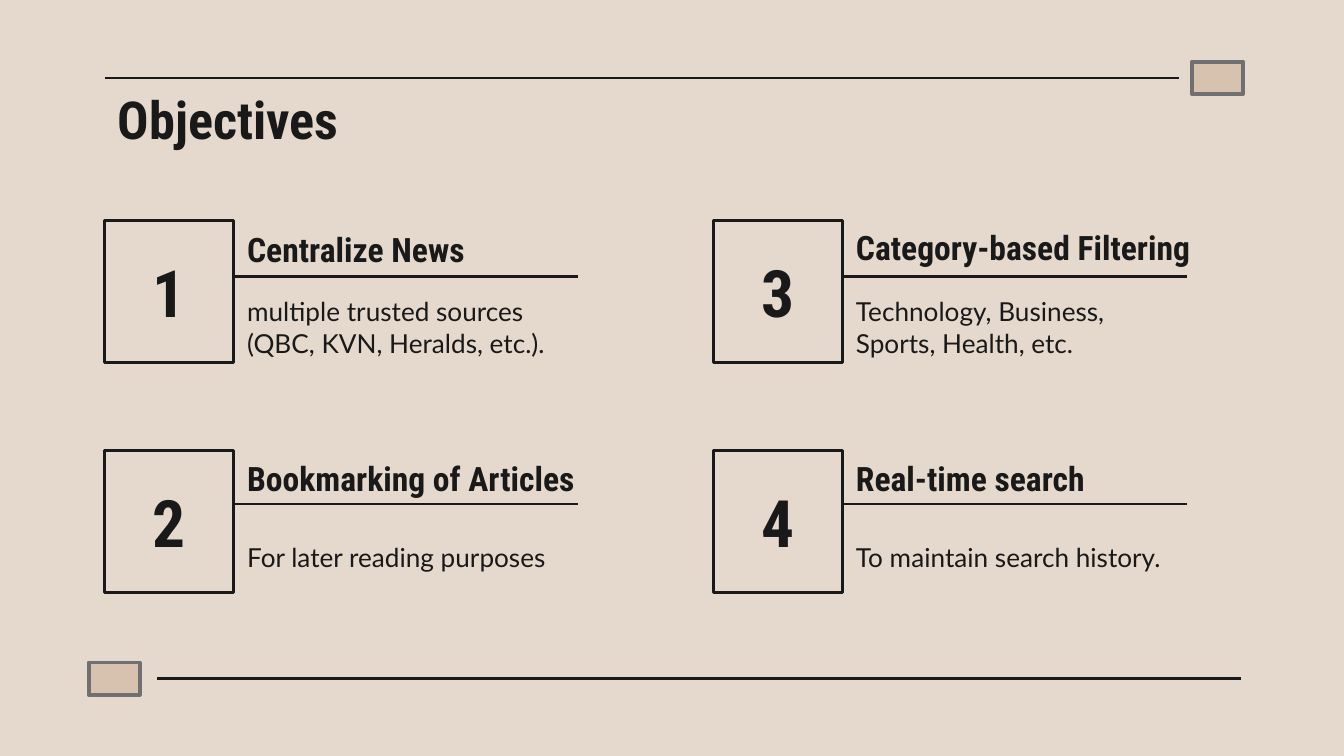
import pptx
import pptx.dml.color
import pptx.enum.shapes
import pptx.enum.text
import pptx.oxml
import pptx.oxml.ns
import pptx.util

Inches = pptx.util.Inches
Align = pptx.enum.text.PP_ALIGN

COLORS = {
    "background": "E5D8CC",
    "ink": "191919",
    "accent": "D6C2AF",
    "accent_border": "707070",
}
HEADING_FONT = "Roboto Condensed"
BODY_FONT = "Lato"

COLUMNS = (0.78, 5.31)
ROWS = (1.64, 3.35)
RULE_TOPS = (2.06, 3.75)
NUMBER_WIDTH, NUMBER_HEIGHT = 0.96, 1.06
OBJECTIVES = (
    ("Centralize News", 1.64, 2.54,
     "multiple trusted sources (QBC, KVN, Heralds, etc.)."),
    ("Bookmarking of Articles", 3.35, 2.89, "For later reading purposes"),
    ("Category-based Filtering", 1.63, 3.11,
     "Technology, Business, Sports, Health, etc."),
    ("Real-time search", 3.35, 2.55, "To maintain search history."),
)


def color(name):
    return pptx.dml.color.RGBColor.from_string(COLORS[name])


def write_text(box, text, size, font, bold=False, align=Align.LEFT):
    frame = box.text_frame
    frame.word_wrap = True
    frame.vertical_anchor = pptx.enum.text.MSO_ANCHOR.MIDDLE
    frame.margin_left = frame.margin_right = Inches(0.1)
    frame.margin_top = frame.margin_bottom = Inches(0.1)
    frame.text = text
    paragraph = frame.paragraphs[0]
    paragraph.alignment = align
    span = paragraph.runs[0]
    span.font.size = pptx.util.Pt(size)
    span.font.name = font
    span.font.bold = bold
    span.font.color.rgb = color("ink")


def add_text(page, left, top, width, height, text, size, font, bold=False):
    box = page.shapes.add_textbox(
        Inches(left), Inches(top), Inches(width), Inches(height))
    write_text(box, text, size, font, bold)


def add_rectangle(page, left, top, width, height, border, weight, fill=None):
    rectangle = page.shapes.add_shape(
        pptx.enum.shapes.MSO_SHAPE.RECTANGLE,
        Inches(left), Inches(top), Inches(width), Inches(height))
    rectangle.shadow.inherit = False
    if fill:
        rectangle.fill.solid()
        rectangle.fill.fore_color.rgb = color(fill)
    else:
        rectangle.fill.background()
    rectangle.line.color.rgb = color(border)
    rectangle.line.width = pptx.util.Pt(weight)
    return rectangle


def add_rule(page, start, end, top):
    rule = page.shapes.add_connector(
        pptx.enum.shapes.MSO_CONNECTOR.STRAIGHT,
        Inches(start), Inches(top), Inches(end), Inches(top))
    rule.line.color.rgb = color("ink")
    rule.line.width = pptx.util.Pt(1.5)
    properties = rule._element.spPr
    properties.append(pptx.oxml.parse_xml(
        "<a:effectLst %s/>" % pptx.oxml.ns.nsdecls("a")))


def add_objective(page, index, heading, heading_top, heading_width, detail):
    column, row = divmod(index, len(ROWS))
    left, top = COLUMNS[column], ROWS[row]
    text_left = left + NUMBER_WIDTH
    add_text(page, text_left, heading_top, heading_width, 0.42,
             heading, 18, HEADING_FONT, True)
    number = add_rectangle(
        page, left, top, NUMBER_WIDTH, NUMBER_HEIGHT, "ink", 1.5)
    write_text(number, str(index + 1), 35, HEADING_FONT, True, Align.CENTER)
    add_text(page, text_left, top + 0.53, 2.55, 0.53, detail, 14, BODY_FONT)
    add_rule(page, text_left, text_left + 2.56, RULE_TOPS[row])


def main():
    deck = pptx.Presentation()
    deck.slide_width = Inches(10)
    deck.slide_height = deck.slide_width * 9 // 16
    page = deck.slides.add_slide(deck.slide_layouts[6])
    page.background.fill.solid()
    page.background.fill.fore_color.rgb = color("background")

    add_rule(page, 1.17, 9.23, 5.05)
    add_rule(page, 0.78, 8.77, 0.58)
    for index, objective in enumerate(OBJECTIVES):
        add_objective(page, index, *objective)
    add_text(page, 0.78, 0.7, 8.43, 0.36, "Objectives", 28, HEADING_FONT, True)
    for left, top in ((0.66, 4.93), (8.87, 0.46)):
        add_rectangle(page, left, top, 0.38, 0.24, "accent_border", 2, "accent")

    deck.save("out.pptx")


if __name__ == "__main__":
    main()
